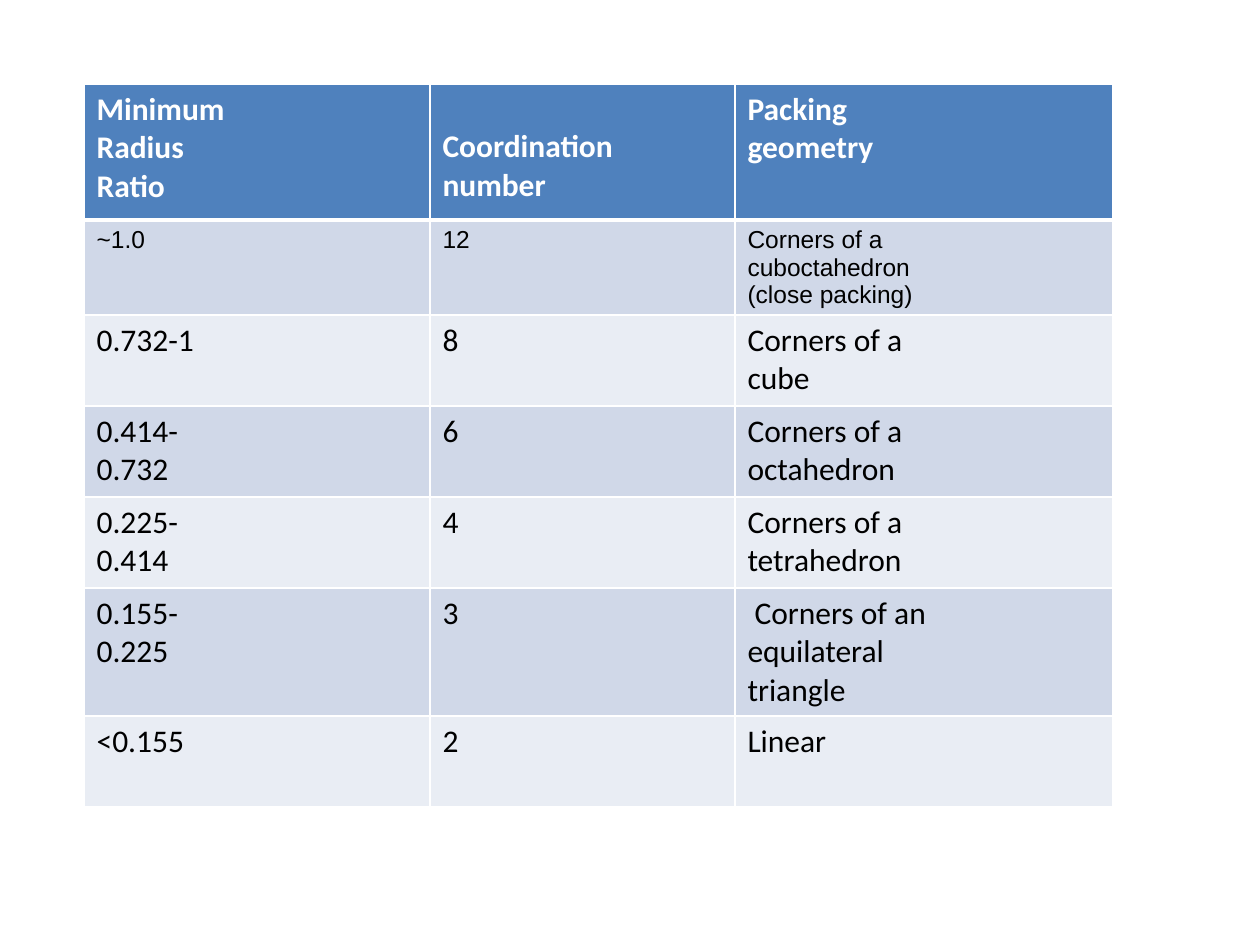
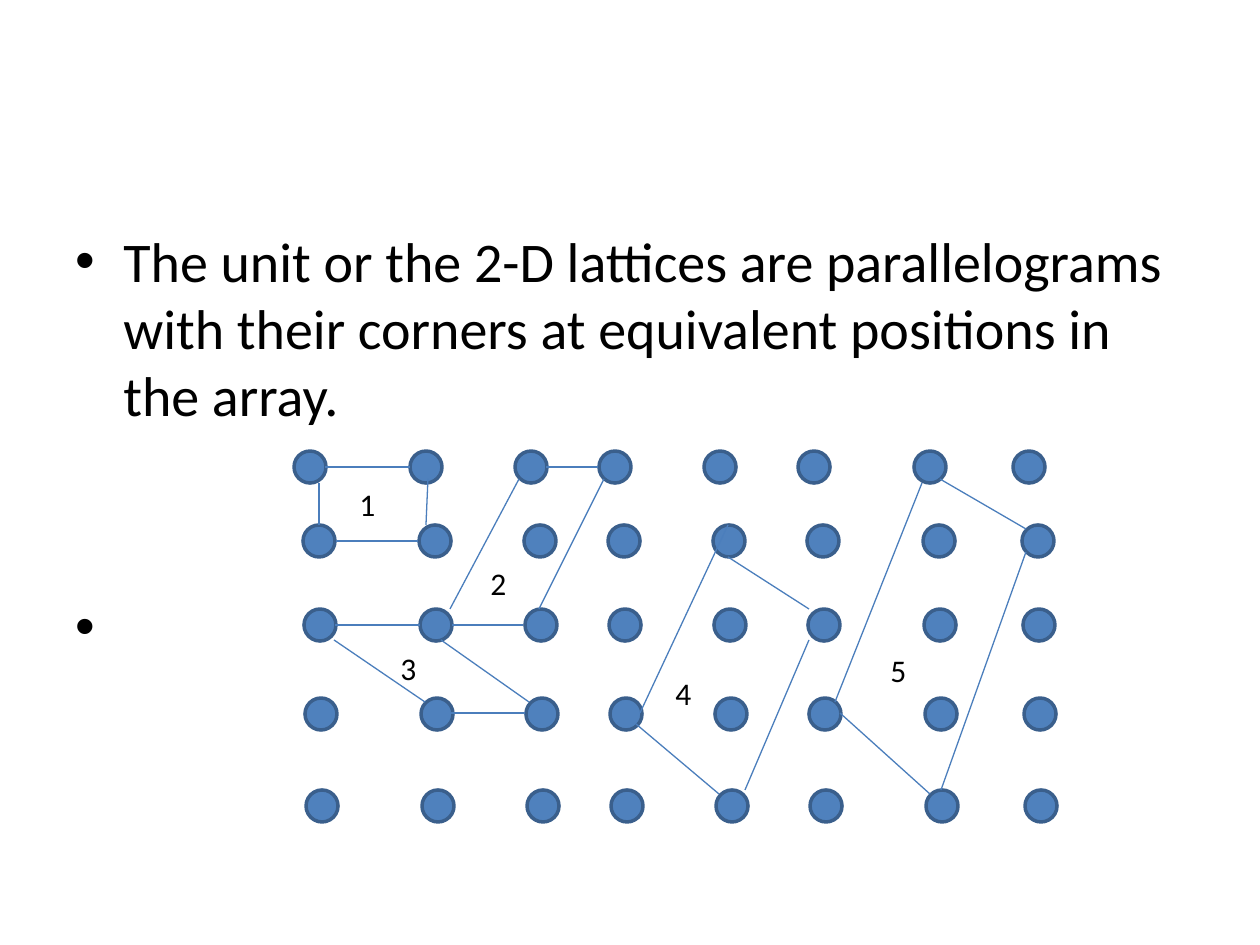
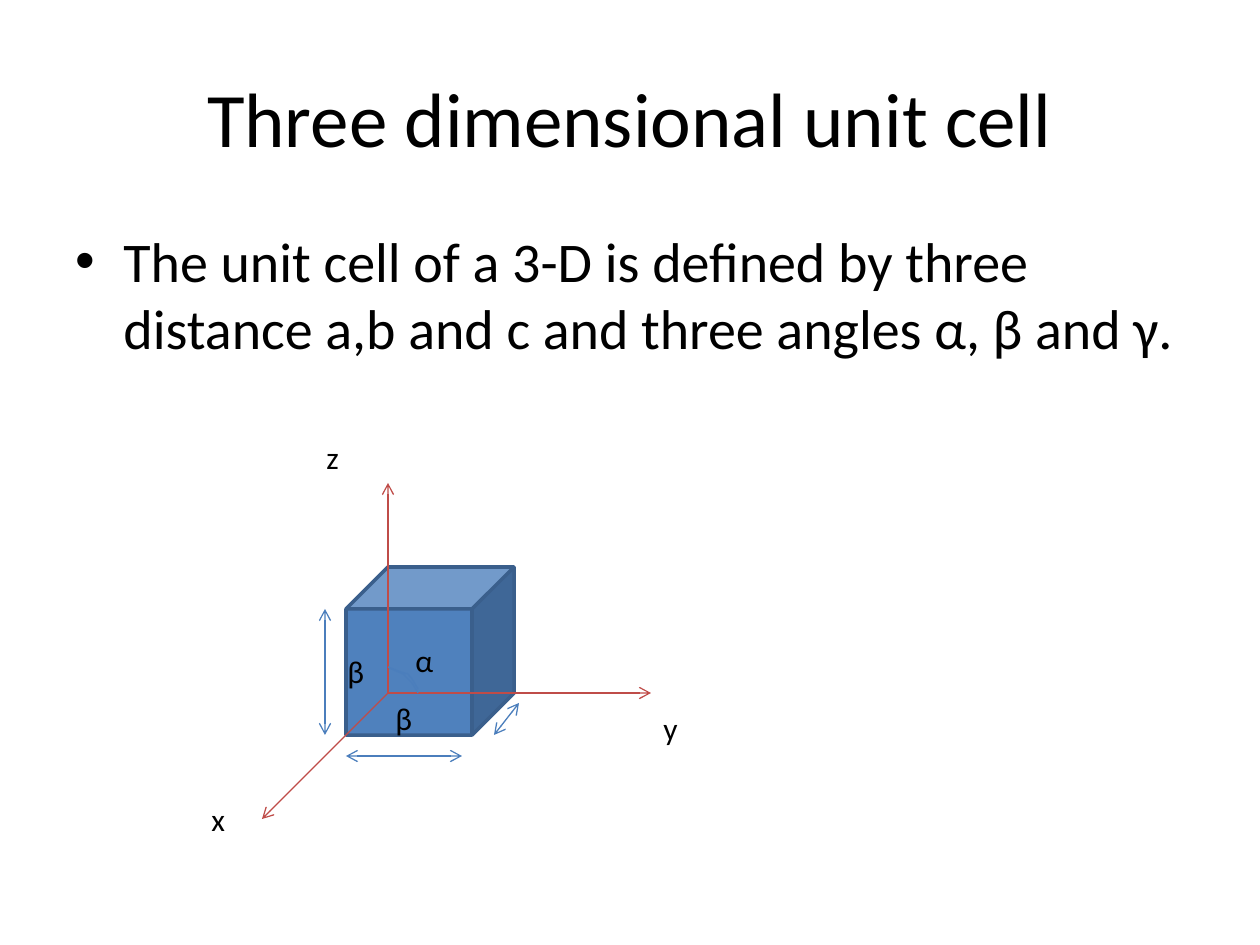
from dataclasses import dataclass

from lxml import etree
from pptx import Presentation
from pptx import util as u
from pptx.dml.color import RGBColor
from pptx.enum import shapes, text
from pptx.oxml.ns import qn

PX = 914400 / 126


@dataclass(frozen=True)
class Theme:
    font: str = "Calibri"
    small_font: str = "Arial"
    text: str = "000000"
    white: str = "FFFFFF"
    blue: str = "4F81BD"
    outline: str = "3A5F8C"
    edge: str = "4B7EBC"
    axis: str = "BF4C48"
    bands: tuple = ("D0D8E8", "E9EDF4")
    title: int = 44
    body: int = 32
    label: int = 18
    small: int = 14


T = Theme()
TITLE_BOX = (63, 38, 1134, 158)
BODY_BOX = (63, 220, 1134, 624)
TABLE_BOX = (84, 84, 1029, 682)
LATTICE_BOX = (294, 451, 751, 371)
CELL_BOX = (199, 432, 494, 412)

RATIOS = [
    ("Minimum\nRadius\nRatio", "Coordination\nnumber", "Packing\ngeometry"),
    ("~1.0", "12", "Corners of a\ncuboctahedron\n(close packing)"),
    ("0.732-1", "8", "Corners of a\ncube"),
    ("0.414-\n0.732", "6", "Corners of a\noctahedron"),
    ("0.225-\n0.414", "4", "Corners of a\ntetrahedron"),
    ("0.155-\n0.225", "3", "Corners of an\nequilateral\ntriangle"),
    ("<0.155", "2", "Linear"),
]

DOT = 32
DOT_COLUMNS = (0, 116, 221, 305, 410, 504, 620, 719)
DOT_ROWS = ((0, 0), (74, 9), (158, 10), (247, 11), (339, 12))
UNIT_CELLS = {
    "1": ((53, 28), [(31, 16, 116, 16), (25, 32, 25, 74),
                     (42, 90, 124, 90), (132, 74, 134, 28)]),
    "2": ((184, 107), [(252, 16, 304, 16), (158, 174, 229, 174),
                       (156, 158, 225, 28), (245, 158, 310, 28)]),
    "3": ((94, 192), [(41, 174, 126, 174), (147, 189, 235, 251),
                      (40, 189, 131, 251), (157, 262, 231, 262)]),
    "4": ((369, 217), [(425, 343, 342, 273), (346, 262, 434, 74),
                       (434, 106, 515, 158), (515, 189, 451, 339)]),
    "5": ((584, 194), [(646, 28, 732, 78), (628, 32, 541, 251),
                       (546, 262, 636, 343), (732, 101, 647, 339)]),
}

CUBE = (147, 135, 168, 168)
AXIS_ORIGIN = (189, 261)
AXIS_ENDS = ((452, 261), (189, 51), (63, 387))
EDGE_LENGTHS = ((295, 303, 320, 271), (147, 324, 263, 324), (126, 303, 126, 177))
ANGLE_ARCS = (
    ((219, 257), (213, 247), (209, 242), (202, 240), (189, 235)),
    ((219, 261), (213, 251), (204, 242), (190, 236)),
)
CELL_LABELS = (("x", 0, 362), ("y", 452, 271), ("z", 115, 0),
               ("β", 184, 261), ("α", 204, 203), ("β", 136, 214))


def px(n):
    return u.Emu(round(n * PX))


def rgb(color):
    return RGBColor.from_string(color)


def style(p, size, color=T.text, font=T.font, bold=False):
    f = p.font
    f.name, f.size, f.bold = font, u.Pt(size), bold
    f.color.rgb = rgb(color)


def text_box(slide, box, content, size, align=text.PP_ALIGN.LEFT,
             anchor=text.MSO_ANCHOR.TOP):
    tf = slide.shapes.add_textbox(*map(px, box)).text_frame
    tf.word_wrap = True
    tf.vertical_anchor = anchor
    tf.text = content
    for p in tf.paragraphs:
        p.alignment = align
        style(p, size)
    return tf


def label(slide, x, y, content):
    text_box(slide, (x, y, 42, 50), content, T.label)


def title(slide, box, content):
    text_box(slide, box, content, T.title, text.PP_ALIGN.CENTER,
             text.MSO_ANCHOR.MIDDLE)


def bullets(slide, box, items, gap=0):
    tf = text_box(slide, box, "\n".join(items), T.body)
    for i, p in enumerate(tf.paragraphs):
        pPr = p._p.get_or_add_pPr()
        pPr.set("marL", str(px(48)))
        pPr.set("indent", str(-px(48)))
        mark = etree.Element(qn("a:buChar"), char="•")
        face = etree.Element(qn("a:buFont"), typeface=T.small_font)
        pPr.insert(0, face)
        face.addnext(mark)
        if i:
            p.space_before = u.Pt(gap)


def outline(sp, color, width):
    sp.line.color.rgb = rgb(color)
    sp.line.width = u.Pt(width)


def solid(slide, kind, box):
    sp = slide.shapes.add_shape(kind, *map(px, box))
    sp.shadow.inherit = False
    sp.fill.solid()
    sp.fill.fore_color.rgb = rgb(T.blue)
    outline(sp, T.outline, 2)


def line(slide, ends, color=T.edge, arrows=()):
    c = slide.shapes.add_connector(shapes.MSO_CONNECTOR.STRAIGHT, *map(px, ends))
    outline(c, color, 0.75)
    for end in arrows:
        etree.SubElement(c.line._get_or_add_ln(), qn(f"a:{end}"), type="arrow")
    etree.SubElement(c._element.spPr, qn("a:effectLst"))


def borders(cell, **widths):
    tcPr = cell._tc.get_or_add_tcPr()
    for side in "LRTB":
        ln = etree.SubElement(tcPr, qn(f"a:ln{side}"),
                              w=str(u.Pt(widths.get(side, 1))))
        fill = etree.SubElement(ln, qn("a:solidFill"))
        etree.SubElement(fill, qn("a:srgbClr"), val=T.white)


def ratio_table(slide, box):
    table = slide.shapes.add_table(len(RATIOS), 3, *map(px, box)).table
    for column, width in zip(table.columns, (346, 305, 378)):
        column.width = px(width)
    for i, values in enumerate(RATIOS):
        table.rows[i].height = px(91 if i else 136)
        for j, value in enumerate(values):
            cell = table.cell(i, j)
            borders(cell, **({0: {"B": 3}, 1: {"T": 3}}.get(i, {})))
            cell.fill.solid()
            cell.fill.fore_color.rgb = rgb(T.bands[(i - 1) % 2] if i else T.blue)
            cell.text = value
            for p in cell.text_frame.paragraphs:
                if i == 0:
                    style(p, T.label, T.white, bold=True)
                elif i == 1:
                    style(p, T.small, font=T.small_font)
                else:
                    style(p, T.label)
    table.cell(0, 1).margin_top = px(44)
    triangle = table.cell(5, 2).text_frame.paragraphs[0]
    triangle._p.get_or_add_pPr().set("indent", str(px(7)))


def lattice(slide, box):
    left, top = box[:2]
    for y, shift in DOT_ROWS:
        for x in DOT_COLUMNS:
            solid(slide, shapes.MSO_SHAPE.OVAL,
                  (left + x + shift, top + y, DOT, DOT))
    for number, ((x, y), sides) in UNIT_CELLS.items():
        for x1, y1, x2, y2 in sides:
            line(slide, (left + x1, top + y1, left + x2, top + y2))
        label(slide, left + x, top + y, number)


def unit_cell(slide, box):
    left, top = box[:2]
    x, y, w, h = CUBE
    solid(slide, shapes.MSO_SHAPE.CUBE, (left + x, top + y, w, h))
    ox, oy = left + AXIS_ORIGIN[0], top + AXIS_ORIGIN[1]
    for x, y in AXIS_ENDS:
        line(slide, (ox, oy, left + x, top + y), T.axis, ["tailEnd"])
    for arc in ANGLE_ARCS:
        points = [(left + x, top + y) for x, y in arc]
        fb = slide.shapes.build_freeform(*points[0], scale=PX)
        fb.add_line_segments(points[1:], close=False)
        sp = fb.convert_to_shape()
        sp.shadow.inherit = False
        sp.fill.background()
        outline(sp, T.edge, 0.75)
    for x1, y1, x2, y2 in EDGE_LENGTHS:
        line(slide, (left + x1, top + y1, left + x2, top + y2),
             arrows=["headEnd", "tailEnd"])
    for name, x, y in CELL_LABELS:
        label(slide, left + x, top + y, name)


def main():
    prs = Presentation()
    prs.slide_width, prs.slide_height = px(1260), px(945)
    ratios, plane, solid_cell = (
        prs.slides.add_slide(prs.slide_layouts[6]) for _ in range(3))

    ratio_table(ratios, TABLE_BOX)

    bullets(plane, BODY_BOX, [
        "The unit or the 2-D lattices are parallelograms with their corners "
        "at equivalent positions in the array.", " "], gap=94)
    lattice(plane, LATTICE_BOX)

    title(solid_cell, TITLE_BOX, "Three dimensional unit cell")
    bullets(solid_cell, BODY_BOX, [
        "The unit cell of a 3-D is defined by three distance a,b and c "
        "and three angles α, β and γ."])
    unit_cell(solid_cell, CELL_BOX)

    prs.save("out.pptx")


if __name__ == "__main__":
    main()
